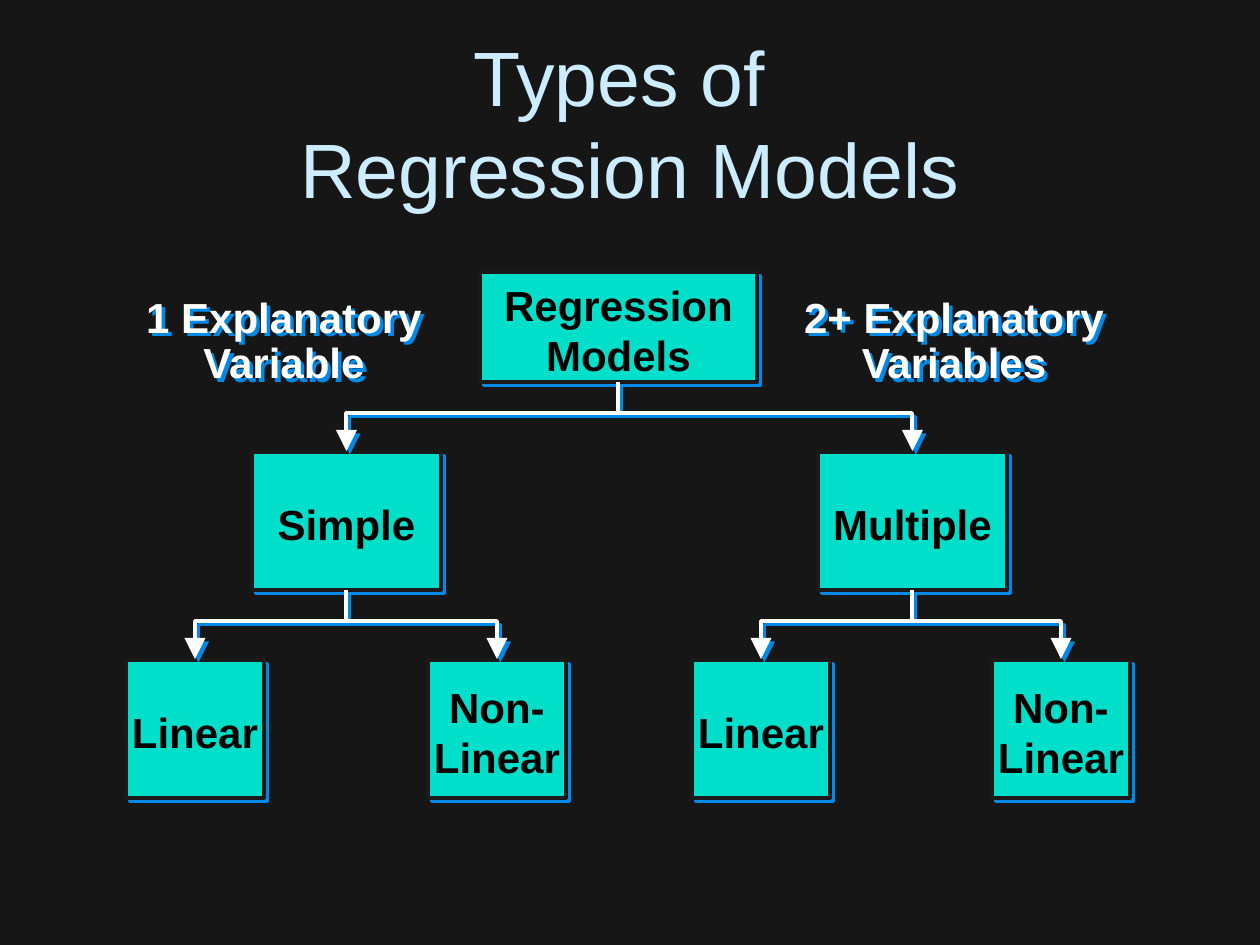
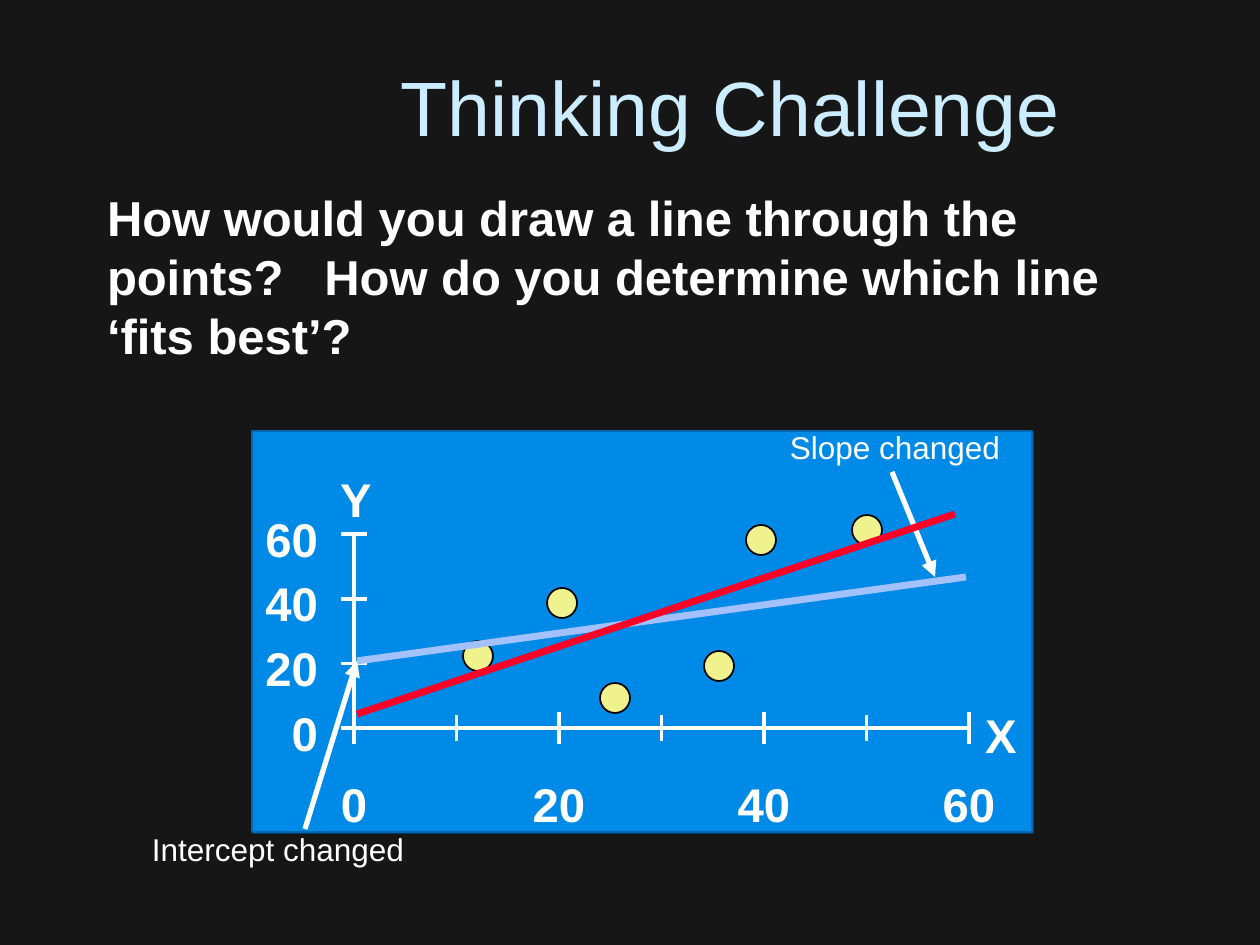
from pptx import Presentation, util as u
from pptx.dml.color import RGBColor
from pptx.enum import shapes, text
from pptx.oxml import ns
from lxml import etree

PX = 914400 / 126
FONT = "Arial"
COLORS = {
    "ground": "161616", "title": "CCECFF", "white": "FFFFFF", "black": "000000",
    "teal": "00DFCA", "edge": "1A1A1A", "blue": "008AE8", "panel edge": "0068AE",
    "panel shadow": "003E68", "dot": "F0F28D", "pale": "A2C1FE", "red": "FC0128",
}
LEFT, CENTER, RIGHT = text.PP_ALIGN.LEFT, text.PP_ALIGN.CENTER, text.PP_ALIGN.RIGHT
TOP, MIDDLE = text.MSO_ANCHOR.TOP, text.MSO_ANCHOR.MIDDLE
KIND = shapes.MSO_SHAPE

MODELS_TITLE = ("Types of \vRegression Models", (63, 38, 1134, 158))
MODELS = {
    "root": ("Regression\vModels", (480, 272, 277, 110)),
    "simple": ("Simple", (252, 452, 189, 138)),
    "multiple": ("Multiple", (818, 452, 189, 138)),
    "simple linear": ("Linear", (126, 660, 138, 138)),
    "simple curved": ("Non-\vLinear", (428, 660, 138, 138)),
    "multiple linear": ("Linear", (692, 660, 138, 138)),
    "multiple curved": ("Non-\vLinear", (992, 660, 138, 138)),
}
BRANCHES = [
    ("root", "simple"), ("root", "multiple"),
    ("simple", "simple linear"), ("simple", "simple curved"),
    ("multiple", "multiple linear"), ("multiple", "multiple curved"),
]
CAPTIONS = [
    ("1 Explanatory\vVariable", (134, 289, 300, 100)),
    ("2+ Explanatory\vVariables", (794, 289, 320, 100)),
]
ARROW_SIZE = 21

CHALLENGE_TITLE = ("Thinking Challenge", (242, 24, 977, 155))
QUESTION = ("How would you draw a line through the points?   "
            "How do you determine which line ‘fits best’?")
PANEL = (252, 431, 780, 401)
ORIGIN = (354, 728)
X_TICK, Y_TICK = 102.5, 64.6
AXIS_VALUES = ["0", "20", "40", "60"]
AXIS_NAMES = [("X", (971, 703, 60, 57)), ("Y", (326, 467, 60, 57))]
POINTS = [(615, 698), (867, 530), (562, 603), (761, 540), (719, 666), (478, 656)]
RADIUS = 15
NOTES = [("Slope changed", (775, 426, 240, 40)),
         ("Intercept changed", (138, 828, 280, 40))]
FIT_LINES = [
    ((357, 661), (966, 577), "pale", 4, False),
    ((892, 472), (935, 577), "white", 3, True),
    ((357, 714), (357, 714), "white", 1, True),
    ((305, 829), (357, 661), "white", 3, True),
    ((357, 714), (955, 514), "red", 4, False),
]


def emu(*lengths):
    return [round(length * PX) for length in lengths]


def color(name):
    return RGBColor.from_string(COLORS[name])


def assign(target, values):
    for name, value in values.items():
        setattr(target, name, value)


def write(box, words, size, tint, align=CENTER, anchor=TOP, bold=True, pitch=1.2):
    frame = box.text_frame
    drop = size * (0.12 if anchor == MIDDLE else 0.06) * 1.75
    assign(frame, {"word_wrap": True, "vertical_anchor": anchor, "margin_left": 0,
                   "margin_right": 0, "margin_bottom": 0, "margin_top": emu(drop)[0]})
    para = frame.paragraphs[0]
    para.text = words
    assign(para, {"alignment": align, "line_spacing": u.Pt(size * pitch)})
    for span in para.runs:
        assign(span.font, {"name": FONT, "size": u.Pt(size), "bold": bold})
        span.font.color.rgb = color(tint)


def label(page, words, area, size, **style):
    box = page.shapes.add_textbox(*emu(*area))
    write(box, words, size, "white", **style)
    return box


def cast(box, tint, distance):
    box.shadow.inherit = False
    effects = box._element.spPr.find(ns.qn("a:effectLst"))
    shadow = etree.SubElement(effects, ns.qn("a:outerShdw"), blurRad="0",
                              dist=str(u.Pt(distance)), dir="2700000",
                              algn="ctr", rotWithShape="0")
    etree.SubElement(shadow, ns.qn("a:srgbClr"), val=COLORS[tint])


def draw(page, kind, area, fill, edge=None, width=1):
    box = page.shapes.add_shape(kind, *emu(*area))
    box.shadow.inherit = False
    box.fill.solid()
    box.fill.fore_color.rgb = color(fill)
    if edge:
        box.line.color.rgb = color(edge)
        box.line.width = u.Pt(width)
    else:
        box.line.fill.background()
    return box


def connect(page, start, end, tint="white", width=2, arrow=False):
    line = page.shapes.add_connector(shapes.MSO_CONNECTOR.STRAIGHT, *emu(*start, *end))
    line.line.color.rgb = color(tint)
    line.line.width = u.Pt(width)
    if arrow:
        etree.SubElement(line.line._get_or_add_ln(), ns.qn("a:tailEnd"), type="triangle")
    etree.SubElement(line._element.spPr, ns.qn("a:effectLst"))


def branch(page, parent, child):
    left, top, width, height = parent
    start, bottom = left + width / 2, top + height
    end, child_top = child[0] + child[2] / 2, child[1]
    bend = child_top - 39
    builder = page.shapes.build_freeform(start, bottom, scale=PX)
    builder.add_line_segments([(start, bend), (end, bend), (end, child_top - 20)], close=False)
    elbow = builder.convert_to_shape()
    elbow.fill.background()
    elbow.line.color.rgb = color("white")
    elbow.line.width = u.Pt(2)
    cast(elbow, "blue", 2.8)
    area = (end - ARROW_SIZE / 2, child_top - ARROW_SIZE - 1, ARROW_SIZE, ARROW_SIZE)
    cast(draw(page, KIND.FLOWCHART_MERGE, area, "white"), "blue", 2.8)


def add_page(deck, words, area):
    page = deck.slides.add_slide(deck.slide_layouts[5])
    title = page.shapes.title
    assign(title, dict(zip(("left", "top", "width", "height"), emu(*area))))
    write(title, words, 44, "title", anchor=MIDDLE, bold=False)
    return page


def build_models(deck):
    page = add_page(deck, *MODELS_TITLE)
    for words, area in MODELS.values():
        box = draw(page, KIND.RECTANGLE, area, "teal", "edge", 2)
        cast(box, "blue", 2.8)
        write(box, words, 24, "black", anchor=MIDDLE)
    for parent, child in BRANCHES:
        branch(page, MODELS[parent][1], MODELS[child][1])
    for words, area in CAPTIONS:
        cast(label(page, words, area, 24, anchor=MIDDLE, pitch=1.09), "blue", 2.8)


def build_axes(page):
    x, y = ORIGIN
    connect(page, (x, y - 3 * Y_TICK), ORIGIN)
    connect(page, ORIGIN, (x + 6 * X_TICK, y))
    for step in range(7):
        tick = x + step * X_TICK
        reach = 13 if step % 2 else 16
        connect(page, (tick, y + reach), (tick, y - reach))
    for step, value in enumerate(AXIS_VALUES):
        level = y - step * Y_TICK
        connect(page, (x - 13, level), (x + 13, level))
        label(page, value, (218, level - 27, 100, 57), 27, align=RIGHT)
        label(page, value, (x + 2 * step * X_TICK - 50, 772, 100, 57), 27)
    for name, area in AXIS_NAMES:
        label(page, name, area, 27)


def build_challenge(deck):
    page = add_page(deck, *CHALLENGE_TITLE)
    label(page, QUESTION, (107, 185, 1053, 177), 28, align=LEFT)
    cast(draw(page, KIND.RECTANGLE, PANEL, "blue", "panel edge"), "panel shadow", 1.4)
    build_axes(page)
    for x, y in POINTS:
        area = (x - RADIUS, y - RADIUS, 2 * RADIUS, 2 * RADIUS)
        draw(page, KIND.OVAL, area, "dot", "black")
    for words, area in NOTES:
        label(page, words, area, 18, bold=False)
    for line in FIT_LINES:
        connect(page, *line)


deck = Presentation()
assign(deck, {"slide_width": u.Inches(10), "slide_height": u.Inches(7.5)})
ground = deck.slide_master.background.fill
ground.solid()
ground.fore_color.rgb = color("ground")
build_models(deck)
build_challenge(deck)
deck.save("out.pptx")
